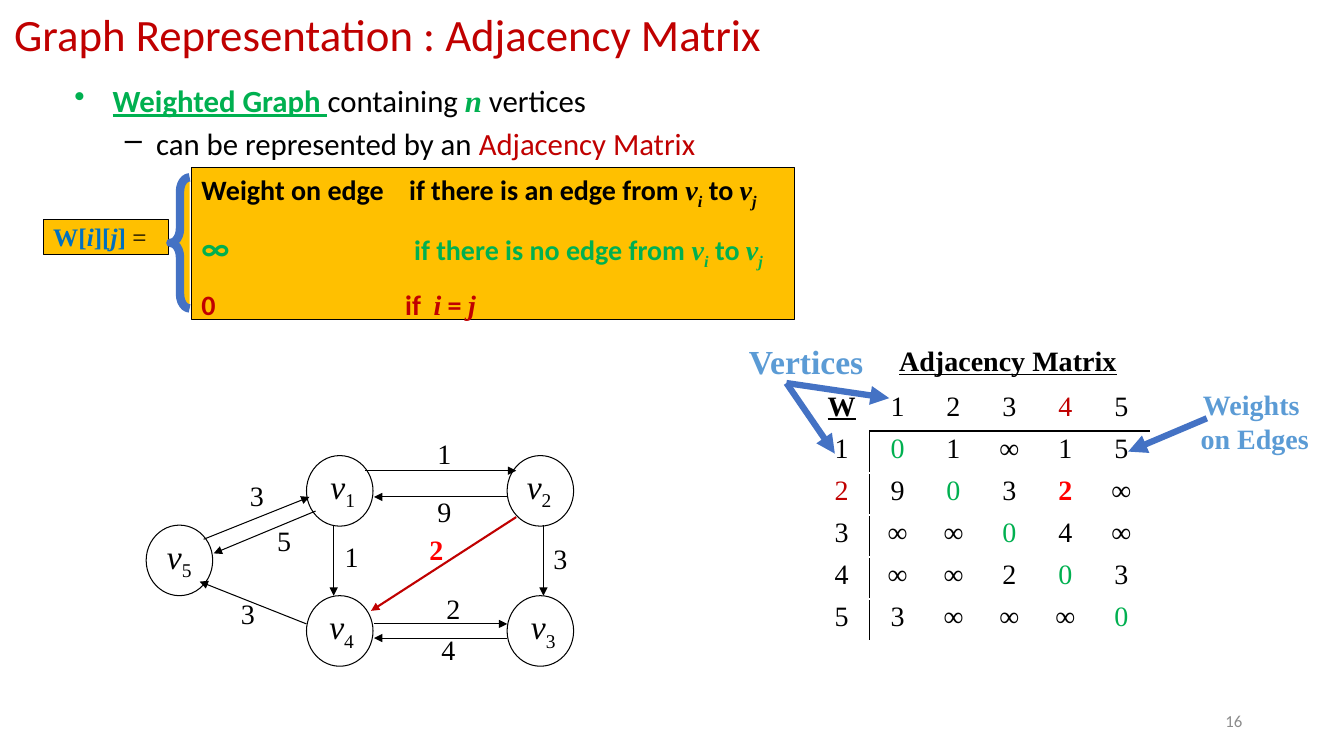
from lxml import etree
from pptx import Presentation
from pptx.dml.color import RGBColor
from pptx.enum.shapes import MSO_CONNECTOR, MSO_SHAPE
from pptx.enum.text import MSO_ANCHOR, PP_ALIGN
from pptx.oxml.ns import qn
from pptx.util import Inches, Pt

LEFT, CENTER, RIGHT = PP_ALIGN.LEFT, PP_ALIGN.CENTER, PP_ALIGN.RIGHT
TOP, MIDDLE = MSO_ANCHOR.TOP, MSO_ANCHOR.MIDDLE
SERIF, SANS = "Times New Roman", "Calibri"
COLORS = {"black": "000000", "white": "FFFFFF", "dark red": "C00000", "red": "FF0000",
          "green": "00B050", "gold": "FFC000", "blue": "0070C0", "arrow": "4472C4",
          "label": "5B9BD5", "gray": "8C8C8C"}


def style(font, name=None, size=None, color=None, **flags):
    if name:
        font.name = name
    if size:
        font.size = Pt(size)
    if color:
        font.color.rgb = RGBColor.from_string(COLORS[color])
    for flag, value in flags.items():
        setattr(font, flag, value)


def add_runs(para, spans):
    """Add (text, style) pairs; the key "sub" makes a subscript."""
    for text, look in spans:
        span = para.add_run()
        span.text = text
        style(span.font, **{key: value for key, value in look.items() if key != "sub"})
        if look.get("sub"):
            span.font._element.set("baseline", "-25000")


deck = Presentation()
deck.slide_width, deck.slide_height = Inches(13.33), Inches(7.5)
page = deck.slides.add_slide(deck.slide_layouts[5])
shapes = page.shapes

# Title
title = shapes.title
title.left, title.top, title.width, title.height = map(Inches, (0.04, 0, 11.63, 0.73))
title.text_frame.text = "Graph Representation : Adjacency Matrix"
title.text_frame.vertical_anchor = MIDDLE
para = title.text_frame.paragraphs[0]
para.alignment, para.line_spacing = LEFT, 0.9
style(para.font, SANS, 32, "dark red")

# Bulleted introduction
frame = shapes.add_textbox(*map(Inches, (0.64, 0.76, 11.63, 0.92))).text_frame
frame.word_wrap = True
bullets = [
    ("•", 0, 0.38, 0.38, 0, [
        ("Weighted Graph ", {"color": "green", "bold": True, "underline": True}),
        ("containing ", {"color": "black"}),
        ("n", {"name": SERIF, "color": "green", "bold": True, "italic": True}),
        (" vertices", {"color": "black"})]),
    ("–", 1, 0.81, 0.31, 4.4, [
        ("can be represented by an ", {"color": "black"}),
        ("Adjacency Matrix", {"color": "dark red"})]),
]
for index, (mark, level, margin, hang, gap, spans) in enumerate(bullets):
    para = frame.add_paragraph() if index else frame.paragraphs[0]
    para.level = level
    props = para._p.get_or_add_pPr()
    props.set("marL", str(Inches(margin)))
    props.set("indent", str(-Inches(hang)))
    etree.SubElement(props, qn("a:buChar"), char=mark)
    para.space_before = Pt(gap)
    style(para.font, SANS, 22)
    add_runs(para, spans)

# Definition of W[i][j]: gold boxes and brace
gold = {}
for part, kind, place, line, width in [
        ("cases", MSO_SHAPE.RECTANGLE, (1.9, 1.66, 5.98, 1.51), "black", 0.75),
        ("entry", MSO_SHAPE.RECTANGLE, (0.43, 2.18, 1.24, 0.35), "black", 0.75),
        ("brace", MSO_SHAPE.LEFT_BRACE, (1.69, 1.76, 0.19, 1.3), "arrow", 6)]:
    shape = gold[part] = shapes.add_shape(kind, *map(Inches, place))
    shape.shadow.inherit = False
    shape.fill.solid()
    shape.fill.fore_color.rgb = RGBColor.from_string(COLORS["gold"])
    shape.line.color.rgb = RGBColor.from_string(COLORS[line])
    shape.line.width = Pt(width)
    shape.text_frame.vertical_anchor = TOP
gold["brace"].adjustments[0] = 0.75

variable = {"name": SERIF, "italic": True}
subscript = {**variable, "sub": True}
edge_ends = [("v", variable), ("i", subscript), (" to ", {}), ("v", variable), ("j", subscript)]
cases = [
    ("black", 2.06, 0, [("Weight on edge\tif there is an edge from ", {}), *edge_ends]),
    ("green", 2.11, 11.7, [("∞", {"size": 24}), ("\tif there is no edge from ", {}), *edge_ends]),
    ("dark red", 2.02, 12.2, [("0\tif  ", {}), ("i", variable), (" = ", {}), ("j", variable)]),
]
frame = gold["cases"].text_frame
for index, (color, tab, gap, spans) in enumerate(cases):
    para = frame.add_paragraph() if index else frame.paragraphs[0]
    tabs = etree.SubElement(para._p.get_or_add_pPr(), qn("a:tabLst"))
    etree.SubElement(tabs, qn("a:tab"), pos=str(Inches(tab)), algn="l")
    para.alignment, para.space_before = LEFT, Pt(gap)
    style(para.font, SANS, 20, color, bold=True)
    add_runs(para, spans)

para = gold["entry"].text_frame.paragraphs[0]
para.alignment, para.line_spacing = LEFT, 0.9
style(para.font, SERIF, 18)
blue = {"color": "blue", "bold": True}
blue_italic = {**blue, "italic": True}
add_runs(para, [("W[", blue), ("i", blue_italic), ("][", blue), ("j", blue_italic),
                ("] ", blue), ("=", {"color": "black"})])

# Adjacency matrix
matrix = ["W12345", "101∞15", "29032∞", "3∞∞04∞", "4∞∞203", "53∞∞∞0"]
special = {(0, 0): {"bold": True, "underline": True}, (0, 4): {"color": "dark red"},
           (2, 0): {"color": "dark red"}, (2, 4): {"color": "red", "bold": True}}
table = shapes.add_table(6, 6, *map(Inches, (8.07, 3.86, 3.33, 2.5))).table
table.first_row = table.horz_banding = False
for column in table.columns:
    column.width = Inches(3.33 / 6)
for row, values in enumerate(matrix):
    table.rows[row].height = Inches(2.5 / 6)
    for col, value in enumerate(values):
        cell = table.cell(row, col)
        cell.margin_left = cell.margin_right = Inches(0.04)
        cell.margin_top = cell.margin_bottom = Inches(0.02)
        cell.fill.background()
        para = cell.text_frame.paragraphs[0]
        para.alignment = CENTER
        look = {"color": "green" if value == "0" else "black", **special.get((row, col), {})}
        style(para.font, SERIF, 20, **look)
        para.add_run().text = value
        borders = [("a:lnL", col == 1 and row > 0), ("a:lnR", col == 0 and row > 0),
                   ("a:lnT", row == 1 and col > 0), ("a:lnB", row == 0 and col > 0)]
        sides = [side for side, drawn in borders if drawn]
        for position, side in enumerate(sides):
            border = etree.Element(qn(side), w=str(Pt(1)))
            ink = etree.SubElement(border, qn("a:solidFill"))
            etree.SubElement(ink, qn("a:srgbClr"), val=COLORS["black"])
            cell._tc.get_or_add_tcPr().insert(position, border)

# Graph vertices: number, left, top, left inset
for number, left, top, inset in [("1", 3.04, 4.52, 0.14), ("2", 5.03, 4.52, 0.1),
                                 ("4", 3.04, 5.91, 0.13), ("3", 5.03, 5.91, 0.14),
                                 ("5", 1.45, 5.21, 0.11)]:
    vertex = shapes.add_shape(MSO_SHAPE.OVAL, *map(Inches, (left, top, 0.66, 0.7)))
    vertex.shadow.inherit = False
    vertex.fill.solid()
    vertex.fill.fore_color.rgb = RGBColor.from_string(COLORS["white"])
    vertex.line.color.rgb = RGBColor.from_string(COLORS["black"])
    vertex.line.width = Pt(0.75)
    frame = vertex.text_frame
    frame.vertical_anchor = TOP
    frame.margin_left, frame.margin_bottom = Inches(inset), Inches(0.05)
    frame.margin_top = frame.margin_right = 0
    para = frame.paragraphs[0]
    para.alignment = LEFT
    style(para.font, SERIF, 24, "black")
    add_runs(para, [("v", {"italic": True}), (number, {"sub": True})])

# Graph edges and callout arrows
thin, marked, callout = ("black", 0.75), ("dark red", 1.5), ("arrow", 4.5)
for x1, y1, x2, y2, (color, width) in [
        (2.02, 5.35, 3.07, 4.93, thin), (3.13, 5.07, 2.12, 5.49, thin),
        (5.12, 5.13, 3.68, 6.06, marked), (3.62, 4.67, 5.12, 4.67, thin),
        (3.71, 6.19, 5.03, 6.19, thin), (3.31, 5.21, 3.31, 5.91, thin),
        (5.39, 5.21, 5.39, 5.91, thin), (5.03, 6.33, 3.71, 6.33, thin),
        (5.03, 4.93, 3.71, 4.93, thin), (3.04, 6.19, 1.98, 5.77, thin),
        (7.8, 3.8, 8.82, 3.95, callout), (7.8, 3.8, 8.28, 4.5, callout),
        (11.97, 4.15, 11.19, 4.48, callout)]:
    arrow = shapes.add_connector(MSO_CONNECTOR.STRAIGHT, *map(Inches, (x1, y1, x2, y2)))
    arrow.line.color.rgb = RGBColor.from_string(COLORS[color])
    arrow.line.width = Pt(width)
    etree.SubElement(arrow.line._get_or_add_ln(), qn("a:tailEnd"), type="triangle")
    etree.SubElement(arrow._element.spPr, qn("a:effectLst"))

# Edge weights, captions and page number
plain = {"name": SERIF, "size": 20, "color": "black"}
caption = {**plain, "color": "label", "bold": True}
weights = [("3", 2.38, 4.7), ("4", 4.28, 6.23), ("3", 2.29, 5.87), ("2", 4.33, 5.82),
           ("5", 2.65, 5.14), ("9", 4.24, 4.86), ("1", 4.24, 4.28), ("3", 5.39, 5.32),
           ("1", 3.32, 5.3)]
labels = [(text, (left, top, 0.4, 0.48), LEFT, plain) for text, left, top in weights] + [
    ("2", (4.16, 5.23, 0.44, 0.44), LEFT, {**plain, "color": "red", "bold": True}),
    ("Adjacency Matrix", (8.82, 3.36, 2.37, 0.44), LEFT,
     {**plain, "bold": True, "underline": True}),
    ("Vertices", (7.33, 3.33, 1.35, 0.5), LEFT, {**caption, "size": 24}),
    ("Weights \non Edges", (11.8, 3.8, 1.29, 0.77), CENTER, caption),
    ("16", (9.42, 6.95, 3, 0.4), RIGHT, {"name": SANS, "size": 12, "color": "gray"}),
]
for text, place, alignment, look in labels:
    frame = shapes.add_textbox(*map(Inches, place)).text_frame
    frame.word_wrap = text in ("16", "2")
    frame.vertical_anchor = MIDDLE if text == "16" else TOP
    frame.text = text
    for para in frame.paragraphs:
        para.alignment = alignment
        style(para.font, **look)

deck.save("out.pptx")
